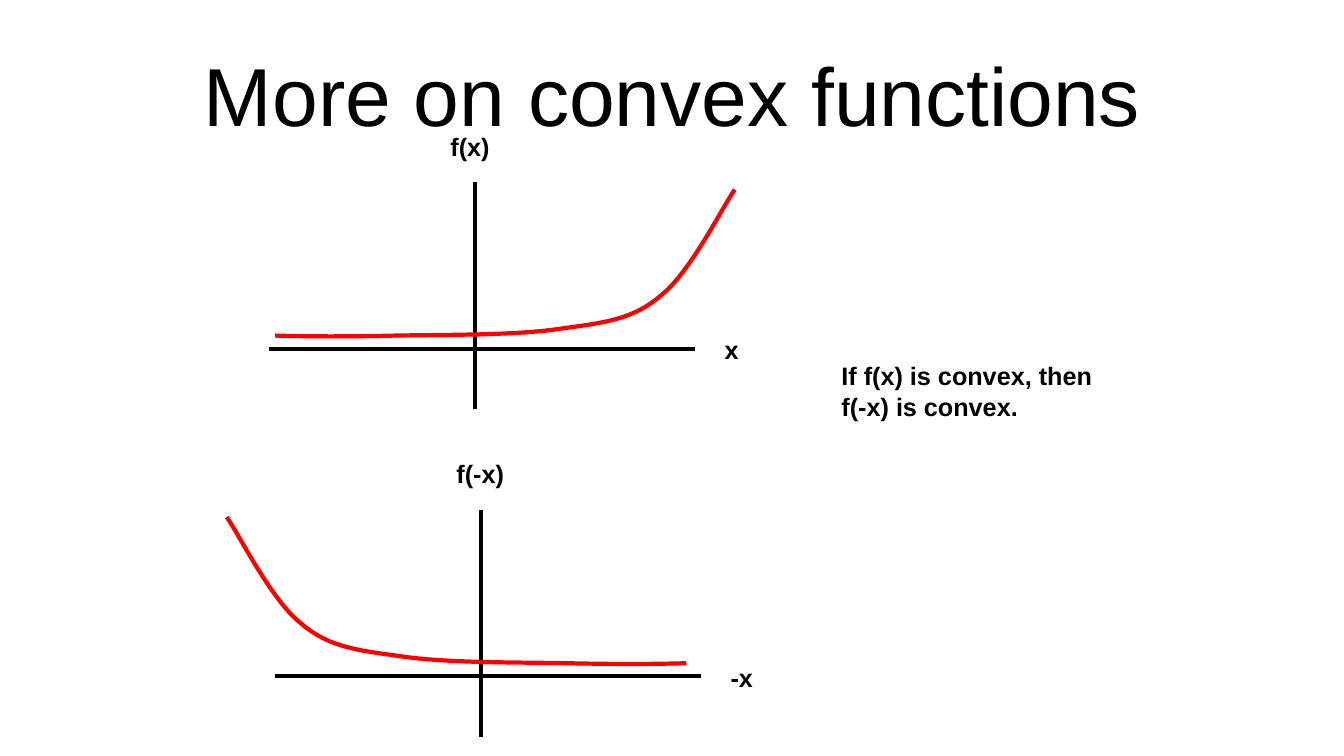
from dataclasses import dataclass

from lxml.etree import SubElement
from pptx import Presentation
from pptx.dml.color import RGBColor
from pptx.enum.shapes import MSO_CONNECTOR as Connector
from pptx.enum.text import MSO_ANCHOR as Anchor, MSO_AUTO_SIZE as AutoSize, PP_ALIGN as Align
from pptx.oxml.ns import qn
from pptx.util import Inches, Pt


@dataclass(frozen=True)
class Theme:
    ink: RGBColor = RGBColor(0x00, 0x00, 0x00)
    curve: RGBColor = RGBColor(0xFF, 0x00, 0x00)
    font: str = "Arial"
    title_size: Pt = Pt(58.7)
    label_size: Pt = Pt(18)
    stroke: Pt = Pt(3)


theme = Theme()
CELL = Inches(0.1)


def grid(*cells):
    return [round(cell * CELL) for cell in cells]


def write(box, text, size, bold):
    frame = box.text_frame
    frame.word_wrap = True
    frame.text = text
    font = frame.paragraphs[0].runs[0].font
    font.name, font.size, font.bold = theme.font, size, bold
    font.color.rgb = theme.ink


deck = Presentation()
deck.slide_width, deck.slide_height = grid(133.33, 75)
slide = deck.slides.add_slide(deck.slide_layouts[5])

title = slide.shapes.title
title.left, title.top, title.width, title.height = grid(6.67, 3, 120, 12.5)
write(title, "More on convex functions", theme.title_size, False)
title.text_frame.auto_size = AutoSize.NONE
title.text_frame.vertical_anchor = Anchor.MIDDLE
title.text_frame.paragraphs[0].alignment = Align.CENTER

axes = [(0, -16.5, 0, 6), (-20.4, 0, 21.8, 0)]
bezier_arcs = [
    [(0, -1.3), (3.6, -1.2), (7.2, -1.2), (11.9, -1.3)],
    [(11.9, -1.3), (16.6, -1.4), (24, -1.3), (28.4, -2)],
    [(28.4, -2), (32.8, -2.6), (35.5, -2.9), (38.3, -5.3)],
    [(38.3, -5.3), (41.2, -7.6), (44.4, -14.1), (45.6, -15.8)],
]
STEPS = 16
curve_points = [bezier_arcs[0][0]]
for arc in bezier_arcs:
    for step in range(1, STEPS + 1):
        t = step / STEPS
        weights = [(1 - t) ** 3, 3 * t * (1 - t) ** 2, 3 * t * t * (1 - t), t ** 3]
        curve_points.append(tuple(
            sum(weight * value for weight, value in zip(weights, values))
            for values in zip(*arc)
        ))

plots = [
    (47.1, 34.6, 27.3, 1, "x", "f(x)"),
    (47.7, 67.1, 68.1, -1, "-x", "f(-x)"),
]
for origin_x, origin_y, curve_start, direction, x_label, y_label in plots:
    plot = slide.shapes.add_group_shape().shapes

    for x1, y1, x2, y2 in axes:
        axis = plot.add_connector(Connector.STRAIGHT, *grid(
            origin_x + x1, origin_y + y1, origin_x + x2, origin_y + y2))
        axis.line.color.rgb = theme.ink
        axis.line.width = theme.stroke
        SubElement(axis.element.spPr, qn("a:effectLst"))

    outline = [grid(curve_start + direction * x, origin_y + y) for x, y in curve_points]
    builder = plot.build_freeform(*outline[0])
    builder.add_line_segments(outline[1:], close=False)
    curve = builder.convert_to_shape()
    curve.fill.background()
    curve.line.color.rgb = theme.curve
    curve.line.width = theme.stroke
    curve.shadow.inherit = False

    for text, dx, dy, width in [(x_label, 23.8, -1.9, 6.6), (y_label, -3.4, -22.1, 10.5)]:
        label = plot.add_textbox(*grid(origin_x + dx, origin_y + dy, width, 4))
        write(label, text, theme.label_size, True)

statement = slide.shapes.add_textbox(*grid(82.5, 35.3, 28.3, 7.1))
write(statement, "If f(x) is convex, then f(-x) is convex.", theme.label_size, True)

deck.save("out.pptx")
